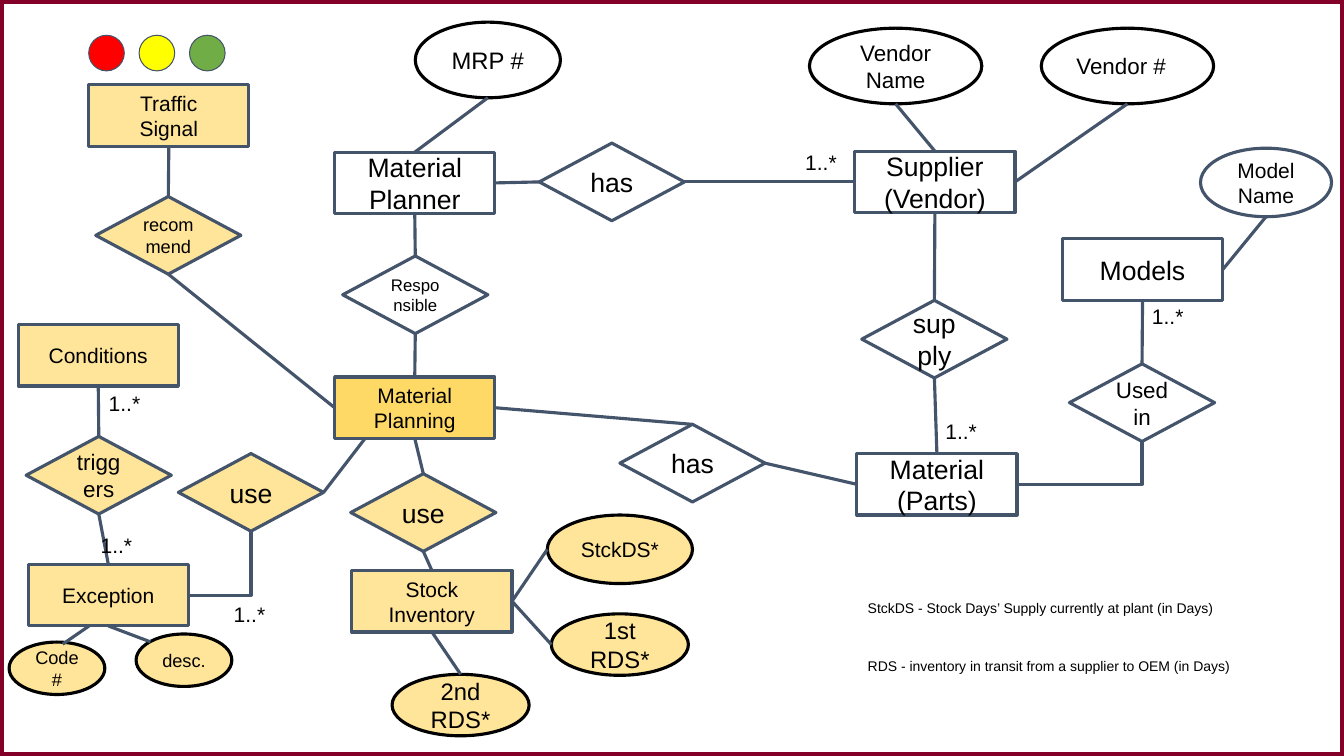
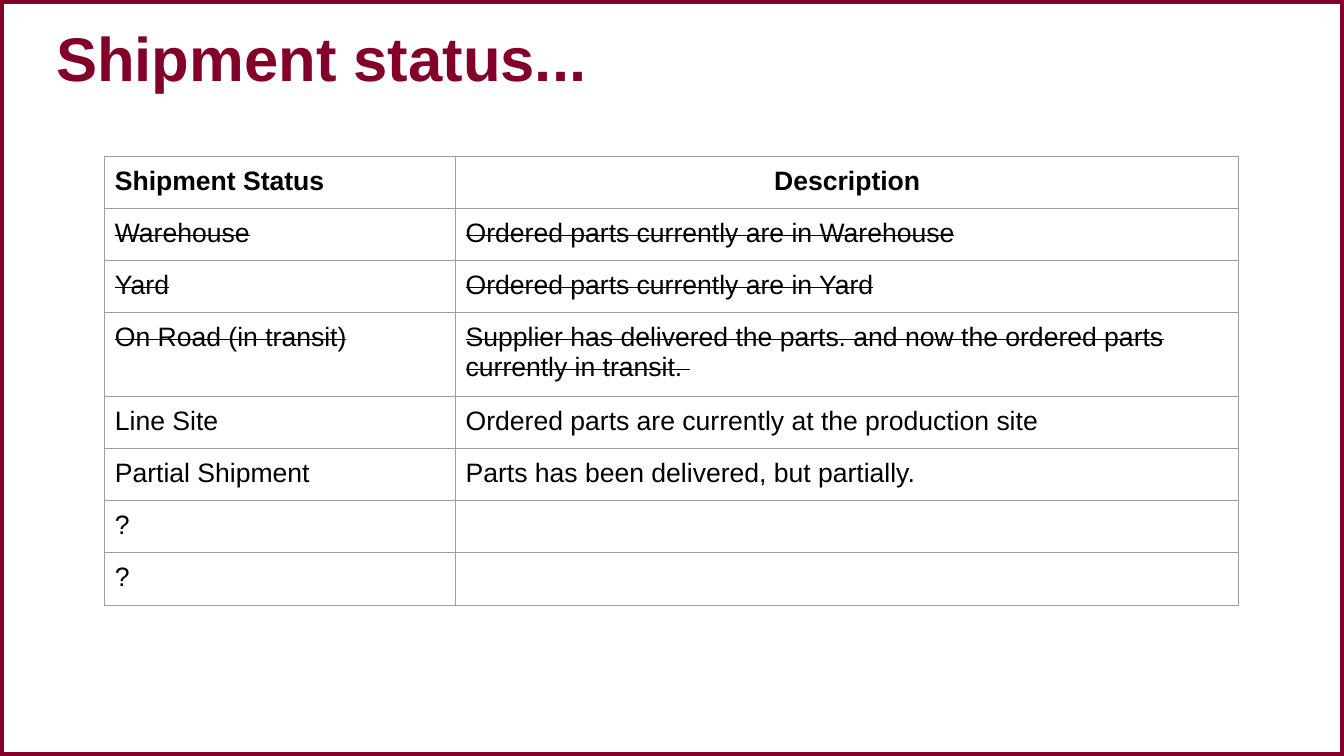
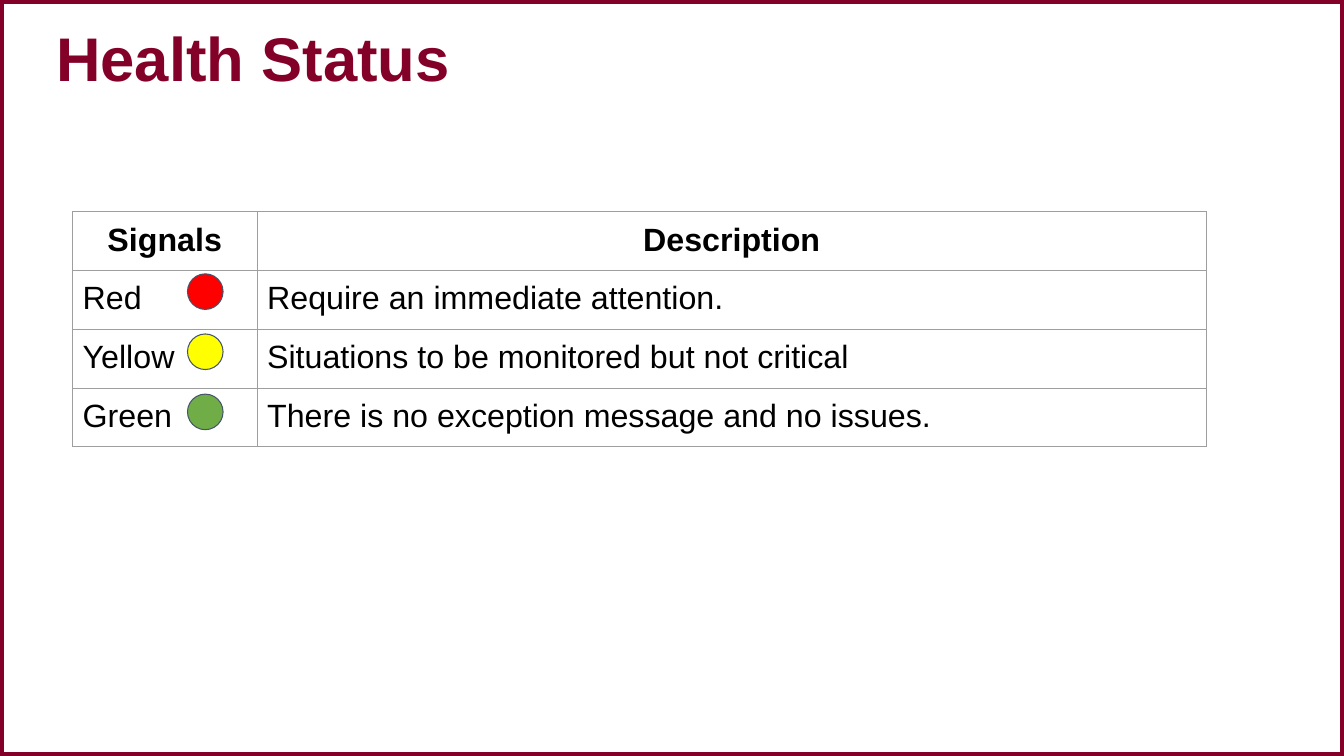
import pptx
import pptx.util
import pptx.dml.color
import pptx.enum.shapes
import pptx.enum.text
import pptx.oxml
import pptx.oxml.ns

COLS = 40
HUES = {
    "wine": "830028", "slate": "44546A", "black": "000000", "white": "FFFFFF",
    "cream": "FFE599", "gold": "FFD966", "grey": "9E9E9E",
    "red": "FF0000", "yellow": "FFFF00", "green": "70AD47",
}
FONT = "Arial"
FORM = pptx.enum.shapes.MSO_SHAPE
LINK = pptx.enum.shapes.MSO_CONNECTOR
SIDE = pptx.enum.text.PP_ALIGN
MIDDLE = pptx.enum.text.MSO_ANCHOR.MIDDLE
TOP = pptx.enum.text.MSO_ANCHOR.TOP

BOX = (FORM.RECTANGLE, 4.77, 1.83)
GEM = (FORM.FLOWCHART_DECISION, 4.32, 2.31)
OVAL = FORM.OVAL

NODES = {
    "planner": (BOX, 9.96, 4.53, "Material\nPlanner", 19, "white", "slate"),
    "mrp": ((OVAL, 4.32, 2.25), 12.36, 0.66, "MRP #", 17, "white", "black"),
    "has": (GEM, 16.05, 4.26, "has", 19, "white", "slate"),
    "vendor": (BOX, 25.44, 4.5, "Supplier\n(Vendor)", 19, "white", "slate"),
    "number": ((OVAL, 5.13, 2.25), 30.99, 0.84, "Vendor #", 16, "white", "black"),
    "name": ((OVAL, 5.13, 2.25), 24.09, 0.84, "Vendor Name", 16, "white", "black"),
    "supply": (GEM, 25.65, 8.94, "supply", 19, "white", "slate"),
    "parts": (BOX, 25.5, 13.5, "Material\n(Parts)", 19, "white", "slate"),
    "models": (BOX, 31.62, 7.11, "Models", 19, "white", "slate"),
    "used": (GEM, 31.83, 10.83, "Used in", 16, "white", "slate"),
    "model": ((OVAL, 3.9, 2.04), 35.73, 4.41, "Model\nName", 15, "white", "slate"),
    "holds": (GEM, 18.45, 12.63, "has", 19, "white", "slate"),
    "plan": (BOX, 9.96, 11.22, "Material\nPlanning", 15, "gold", "slate"),
    "duty": (GEM, 10.2, 7.62, "Responsible", 12, "white", "slate"),
    "use": (GEM, 10.44, 14.1, "use", 19, "cream", "slate"),
    "stock": (BOX, 10.47, 16.98, "Stock Inventory", 15, "cream", "slate"),
    "days": ((OVAL, 4.32, 2.04), 16.29, 15.33, "StckDS*", 15, "cream", "black"),
    "first": ((OVAL, 4.08, 1.83), 16.41, 18.27, "1st RDS*", 17, "cream", "black"),
    "second": ((OVAL, 4.08, 1.83), 11.67, 20.07, "2nd\nRDS*", 17, "cream", "black"),
    "apply": (GEM, 5.31, 13.5, "use", 19, "cream", "slate"),
    "error": (BOX, 0.84, 16.8, "Exception", 15, "cream", "slate"),
    "code": ((OVAL, 2.85, 1.56), 0.27, 19.11, "Code #", 13, "cream", "black"),
    "desc": ((OVAL, 2.85, 1.56), 4.05, 18.87, "desc.", 13, "cream", "black"),
    "terms": (BOX, 0.54, 9.66, "Conditions", 15, "cream", "slate"),
    "fires": (GEM, 0.78, 12.99, "triggers", 16, "cream", "slate"),
    "advise": (GEM, 2.85, 5.85, "recommend", 13, "cream", "slate"),
    "signal": (BOX, 2.64, 2.52, "Traffic\nSignal", 15, "cream", "slate"),
}

SITES = {"top": (0, 0.5, 0), "left": (1, 0, 0.5),
         "foot": (2, 0.5, 1), "right": (3, 1, 0.5)}

LINES = [
    ("planner", "top", "mrp", "foot"), ("planner", "right", "has", "left"),
    ("vendor", "top", "name", "foot"), ("vendor", "right", "number", "foot"),
    ("has", "right", "vendor", "left"), ("supply", "top", "vendor", "foot"),
    ("parts", "top", "supply", "foot"), ("used", "top", "models", "foot"),
    ("models", "right", "model", "foot"), ("duty", "top", "planner", "foot"),
    ("plan", "top", "duty", "foot"), ("parts", "left", "holds", "right"),
    ("holds", "top", "plan", "right"), ("plan", "foot", "use", "top"),
    ("use", "foot", "stock", "top"), ("days", "left", "stock", "right"),
    ("first", "left", "stock", "right"), ("second", "top", "stock", "foot"),
    ("plan", (0.19, 1), "apply", "right"), ("terms", "foot", "fires", "top"),
    ("fires", "foot", "error", "top"), ("advise", "foot", "plan", "left"),
    ("signal", "foot", "advise", "top"),
    ("code", (0.56, 0.04), "error", (0.38, 1)),
    ("desc", (0.15, 0.15), "error", (0.5, 1)),
]
BENDS = [("parts", "right", "used", "foot"), ("error", "right", "apply", "foot")]

COUNTS = [(23.67, 4.14), (27.84, 12.15), (33.99, 8.73),
          (6.66, 17.61), (2.94, 11.31), (2.7, 15.54)]
KEYS = [
    (17.58, "StckDS - Stock Days’ Supply currently at plant (in Days)"),
    (19.32, "RDS - inventory in transit from a supplier to OEM (in Days)"),
]

SHIP = [
    ("Shipment Status", "Description"),
    ("Warehouse", "Ordered parts currently are in Warehouse"),
    ("Yard", "Ordered parts currently are in Yard"),
    ("On Road (in transit)", "Supplier has delivered the parts. and now "
     "the ordered parts currently in transit. "),
    ("Line Site", "Ordered parts are currently at the production site"),
    ("Partial Shipment", "Parts has been delivered, but partially."),
    ("?", ""),
    ("?", ""),
]
HEALTH = [
    ("Signals", "Description"),
    ("Red", "Require an immediate attention."),
    ("Yellow", "Situations to be monitored but not critical"),
    ("Green", "There is no exception message and no issues."),
]


def grid(*spans):
    """Turn grid columns or rows into lengths."""
    return [pptx.util.Inches(span * 13.333 / COLS) for span in spans]


def hue(name):
    """Look up a colour."""
    return pptx.dml.color.RGBColor.from_string(HUES[name])


def style(line, size, tint="black", bold=False, align=SIDE.LEFT):
    """Set the font and alignment of a paragraph."""
    line.alignment = align
    line.font.name = FONT
    line.font.size = pptx.util.Pt(size)
    line.font.bold = bold
    line.font.color.rgb = hue(tint)


def write(shape, text, size, pad=0.1, anchor=TOP, **look):
    """Fill a shape with text."""
    frame = shape.text_frame
    frame.word_wrap = True
    frame.vertical_anchor = anchor
    frame.margin_left = frame.margin_right = pptx.util.Inches(0.1)
    frame.margin_top = frame.margin_bottom = pptx.util.Inches(pad)
    frame.text = text
    for line in frame.paragraphs:
        style(line, size, **look)
    return frame


def label(slide, box, text, size, **look):
    """Place a text box."""
    return write(slide.shapes.add_textbox(*grid(*box)), text, size, **look)


def draw(slide, form, box, fill, edge, width):
    """Place a flat outlined shape."""
    shape = slide.shapes.add_shape(form, *grid(*box))
    shape.shadow.inherit = False
    if fill:
        shape.fill.solid()
        shape.fill.fore_color.rgb = hue(fill)
    else:
        shape.fill.background()
    shape.line.color.rgb = hue(edge)
    shape.line.width = pptx.util.Pt(width)
    return shape


def page(deck, title=None):
    """Add a framed slide with an optional title."""
    slide = deck.slides.add_slide(deck.slide_layouts[6])
    draw(slide, FORM.RECTANGLE, (0, 0, COLS, 22.5), None, "wine", 6)
    if title:
        frame = label(slide, (1.38, 0.45, 37.29, 2.79), title, 44, pad=0.05,
                      anchor=MIDDLE, tint="wine", bold=True)
        frame.paragraphs[0].line_spacing = 0.9
    return slide


def lamps(slide, left, top, right=0, down=0):
    """Place the three signal lamps at equal steps."""
    for i, tint in enumerate(("red", "yellow", "green")):
        box = (left + i * right, top + i * down, 1.06, 1.06)
        draw(slide, OVAL, box, tint, "slate", 0.75)


def spot(shape, site):
    """Find a point on a shape from a side or from shares of its size."""
    across, down = SITES[site][1:] if isinstance(site, str) else site
    return (int(shape.left + across * shape.width),
            int(shape.top + down * shape.height))


def join(slide, start, here, end, there, bent=False):
    """Connect two shapes, gluing the ends that sit on a side."""
    kind = LINK.ELBOW if bent else LINK.STRAIGHT
    wire = slide.shapes.add_connector(kind, *spot(start, here), *spot(end, there))
    ends = ((start, here, wire.begin_connect), (end, there, wire.end_connect))
    for shape, site, glue in ends:
        if isinstance(site, str) and shape.auto_shape_type != OVAL:
            glue(shape, SITES[site][0])
    wire.line.color.rgb = hue("slate")
    wire.line.width = pptx.util.Pt(2.25)
    look = wire._element.spPr
    look.append(pptx.oxml.parse_xml(
        f"<a:effectLst {pptx.oxml.ns.nsdecls('a')}/>"))
    if bent:
        look.find(pptx.oxml.ns.qn("a:prstGeom")).set("prst", "bentConnector2")


def model(slide):
    """Draw the entity diagram."""
    shapes = {}
    for key, (kind, left, top, text, size, fill, edge) in NODES.items():
        form, wide, high = kind
        shape = draw(slide, form, (left, top, wide, high), fill, edge, 2.25)
        align = SIDE.LEFT if key == "number" else SIDE.CENTER
        write(shape, text, size, anchor=MIDDLE, align=align)
        shapes[key] = shape
    for bent, links in ((False, LINES), (True, BENDS)):
        for start, here, end, there in links:
            join(slide, shapes[start], here, shapes[end], there, bent)
    for left, top in COUNTS:
        label(slide, (left, top, 2.13, 1.35), "1..*", 15)
    for top, text in KEYS:
        label(slide, (25.53, top, 13.83, 1.11), text, 10)


def border(cell):
    """Rule all four edges of a cell."""
    props = cell._tc.get_or_add_tcPr()
    for edge in ("lnL", "lnR", "lnT", "lnB"):
        props.append(pptx.oxml.parse_xml(
            f'<a:{edge} {pptx.oxml.ns.nsdecls("a")} w="9525"><a:solidFill>'
            f'<a:srgbClr val="{HUES["grey"]}"/></a:solidFill></a:{edge}>'))


def chart(slide, left, top, wides, high, rows, size, mid, struck=()):
    """Place a ruled table with a bold head row."""
    box = grid(left, top, sum(wides), high * len(rows))
    table = slide.shapes.add_table(len(rows), len(wides), *box).table
    table.first_row = table.horz_banding = False
    for col, wide in zip(table.columns, grid(*wides)):
        col.width = wide
    for i, row in enumerate(rows):
        for j, text in enumerate(row):
            cell = table.cell(i, j)
            border(cell)
            cell.fill.solid()
            cell.fill.fore_color.rgb = hue("white")
            cell.margin_left = cell.margin_right = pptx.util.Inches(0.1)
            cell.margin_top = cell.margin_bottom = pptx.util.Inches(0.1)
            cell.text = text
            line = cell.text_frame.paragraphs[0]
            align = SIDE.CENTER if i == 0 and j in mid else SIDE.LEFT
            style(line, size, bold=i == 0, align=align)
            if i in struck:
                for run in line.runs:
                    run._r.get_or_add_rPr().set("strike", "sngStrike")


def main():
    """Build the deck."""
    deck = pptx.Presentation()
    deck.slide_width, deck.slide_height = grid(COLS, 22.5)
    slide = page(deck)
    model(slide)
    lamps(slide, 2.64, 1.05, right=1.5)
    slide = page(deck, "Shipment status...")
    chart(slide, 3.12, 4.65, (10.44, 23.31), 1.48, SHIP, 19, (1,), (1, 2, 3))
    slide = page(deck, "Health Status")
    chart(slide, 2.16, 6.3, (5.49, 28.26), 1.67, HEALTH, 23, (0, 1))
    lamps(slide, 5.58, 8.15, down=1.79)
    deck.save("out.pptx")


if __name__ == "__main__":
    main()
